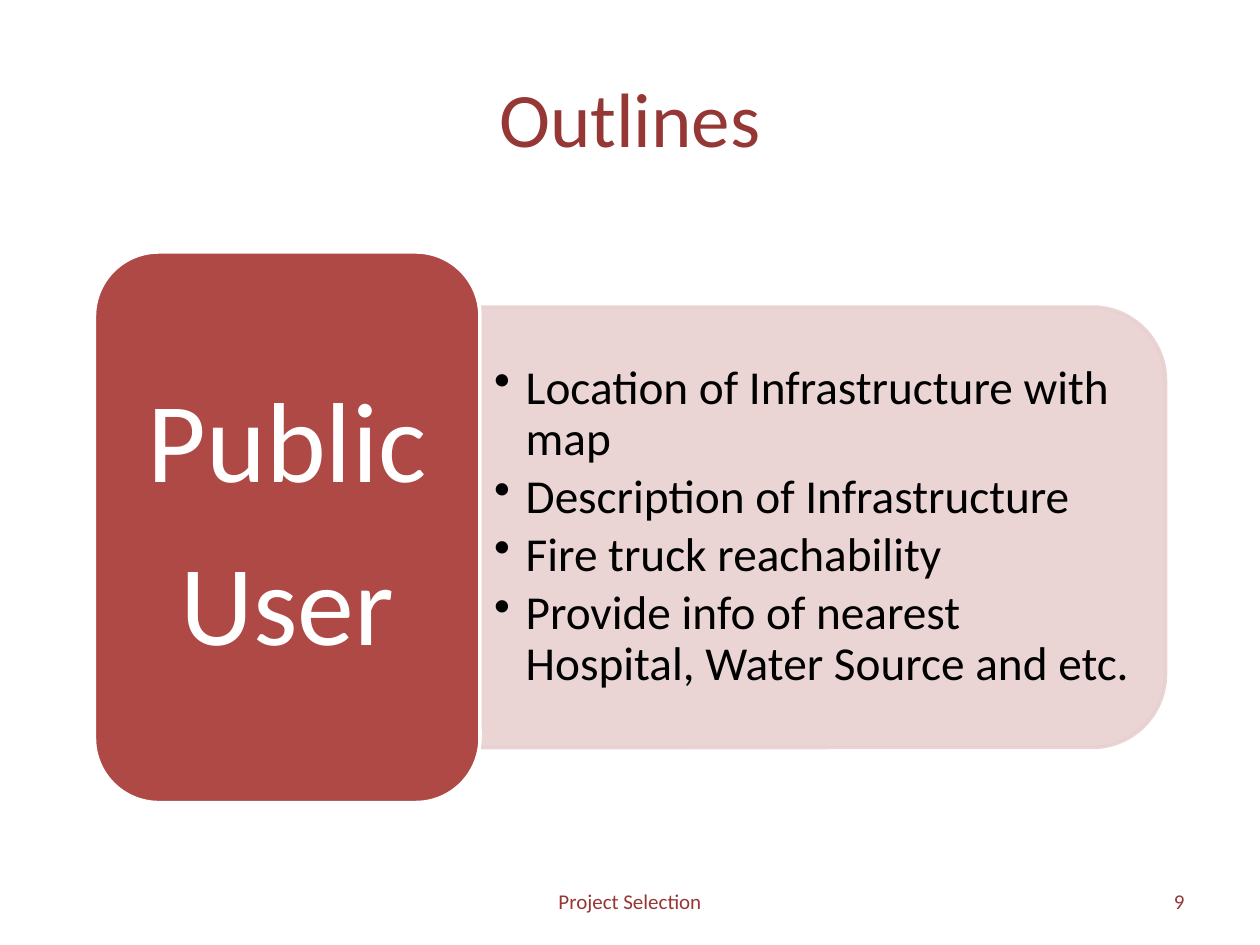
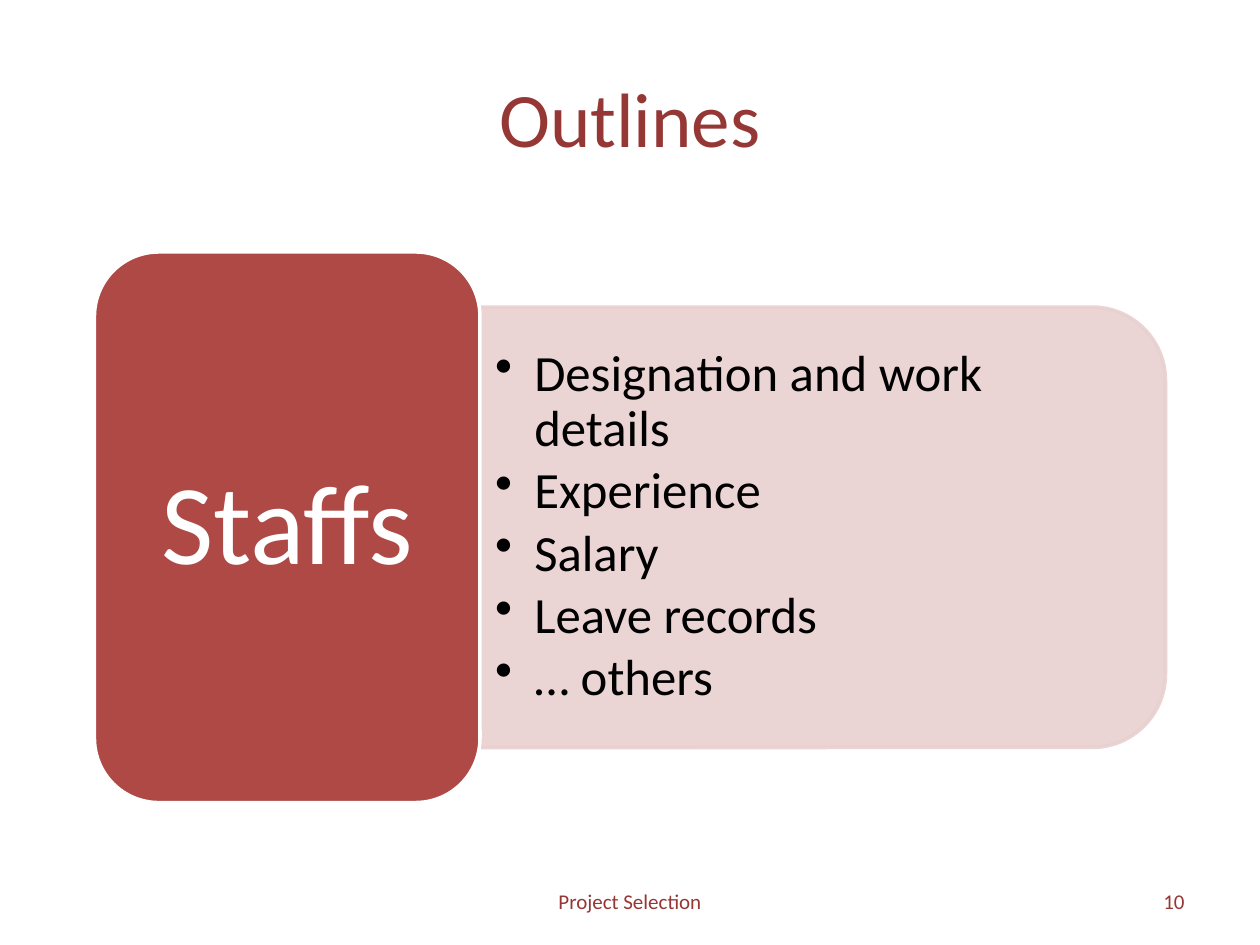
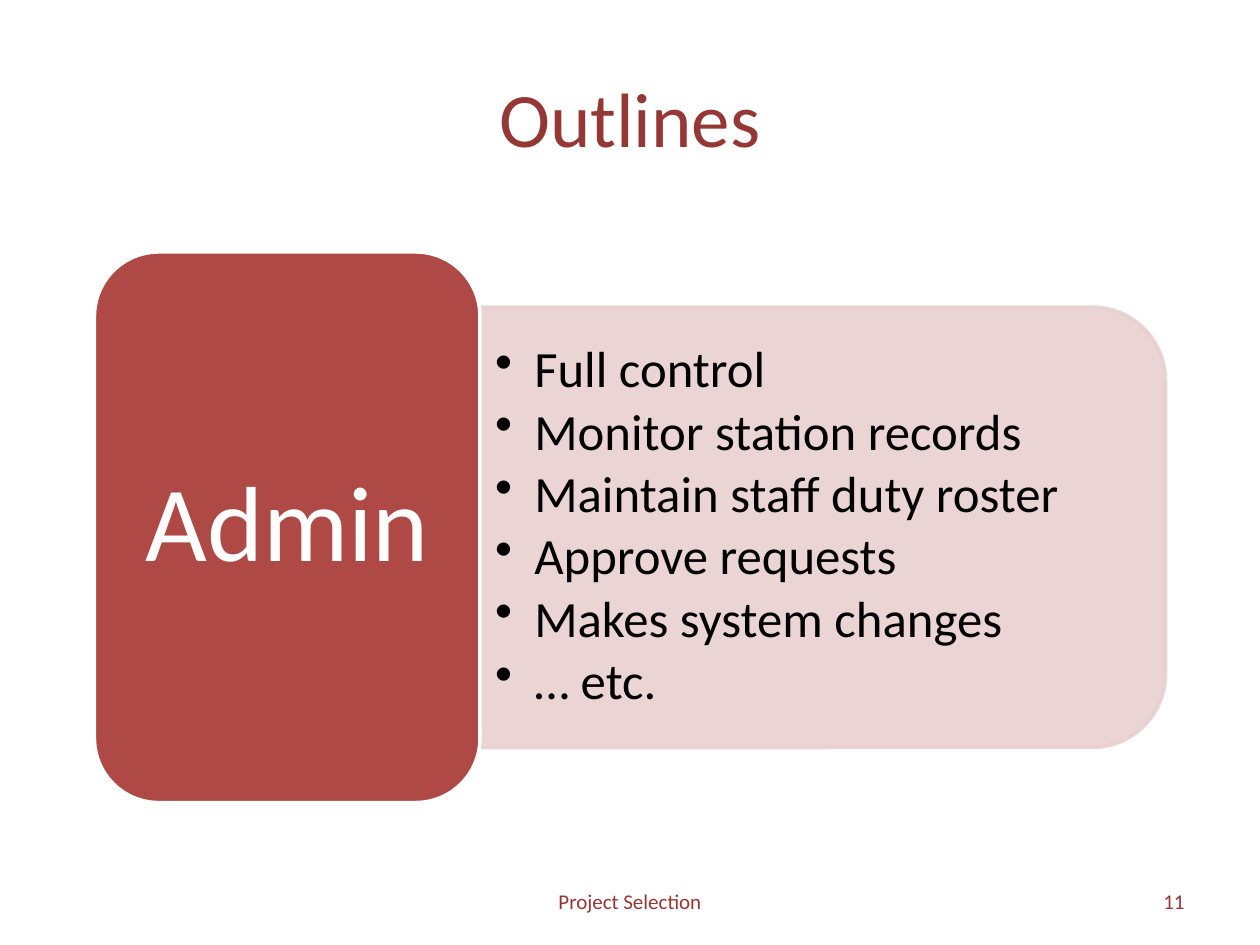
from lxml import etree
from pptx import Presentation
from pptx.dml.color import RGBColor
from pptx.enum.shapes import MSO_SHAPE
from pptx.enum.text import MSO_ANCHOR, PP_ALIGN
from pptx.oxml.ns import qn
from pptx.util import Inches, Pt

ROUND, CAPPED = MSO_SHAPE.ROUNDED_RECTANGLE, MSO_SHAPE.ROUND_2_SAME_RECTANGLE
LEFT, MID, RIGHT = PP_ALIGN.LEFT, PP_ALIGN.CENTER, PP_ALIGN.RIGHT
CENTER = MSO_ANCHOR.MIDDLE

WIDE, HIGH = 10, 7.5
FONT = "Calibri"
DARK, RED, PINK = "953735", "AE4946", "E8D0D0"
WHITE, BLACK = "FFFFFF", "000000"

# Boxes are left, top, width, height in inches.
TITLE = (0.05 * WIDE, 0.04 * HIGH, 0.9 * WIDE, HIGH / 6)
CARD = (0.075 * WIDE, 2, 0.85 * WIDE, 4.37)
FOOT = (0.05 * WIDE, 6.95, 0.9 * WIDE, 0.4)

# Label lines, label size, bullet size, bullet indent, bullets
CARDS = [
    (["Public", "User"], 65, 27, 0.25,
     ["Location of Infrastructure with map", "Description of Infrastructure",
      "Fire truck reachability",
      "Provide info of nearest Hospital, Water Source and etc."]),
    (["Staffs"], 65, 29, 0.31,
     ["Designation and work details", "Experience", "Salary",
      "Leave records", "\u2026 others"]),
    (["Admin"], 61, 29, 0.31,
     ["Full control", "Monitor station records", "Maintain staff duty roster",
      "Approve requests", "Makes system changes", "\u2026 etc."]),
]
FIRST = 9


def color(code):
    """Turn a hex string into a colour."""
    return RGBColor.from_string(code)


def apply(item, form):
    """Set each attribute named in a dict of format values."""
    for name, value in form.items():
        setattr(item, name, value)


def place(item, box):
    """Move an item to a box in inches."""
    names = ("left", "top", "width", "height")
    apply(item, {n: Inches(v) for n, v in zip(names, box)})


def write(item, lines, size, code, align, pad=(0.1, 0.05), **form):
    """Fill an item with one styled paragraph per line."""
    frame = item.text_frame
    side, edge = (Inches(p) for p in pad)
    apply(frame, {"word_wrap": True, "vertical_anchor": CENTER,
                  "margin_left": side, "margin_right": side,
                  "margin_top": edge, "margin_bottom": edge})
    frame.text = "\n".join(lines)
    for para in frame.paragraphs:
        apply(para, {"alignment": align, **form})
        for run in para.runs:
            apply(run.font, {"name": FONT, "size": Pt(size)})
            run.font.color.rgb = color(code)
    return frame


def textbox(parent, box, *args, **form):
    """Add a text box and write in it."""
    item = parent.add_textbox(0, 0, 0, 0)
    place(item, box)
    return write(item, *args, **form)


def block(parent, kind, box, fill, line):
    """Add a plain filled shape with a 2 point outline."""
    item = parent.add_shape(kind, 0, 0, 0, 0)
    place(item, box)
    item.shadow.inherit = False
    item.fill.solid()
    item.fill.fore_color.rgb = color(fill)
    item.line.color.rgb = color(line)
    item.line.width = Pt(2)
    return item


def fade(item, share):
    """Make the fill and outline of a shape partly opaque."""
    for tint in item._element.spPr.iter(qn("a:srgbClr")):
        etree.SubElement(tint, qn("a:alpha"), val=str(int(share * 100000)))


def bullet(para, indent):
    """Give a paragraph a hanging bullet."""
    props = para._p.get_or_add_pPr()
    step = Inches(indent)
    props.set("marL", str(step))
    props.set("indent", str(-step))
    etree.SubElement(props, qn("a:buChar"), char="\u2022")


def panel(parent, box, size, indent, lines):
    """Draw the pale panel, rounded on the right, with its bullets."""
    x, y, w, h = box
    turned = (x + (w - h) / 2, y + (h - w) / 2, h, w)
    item = block(parent, CAPPED, turned, PINK, PINK)
    item.rotation = 90
    fade(item, 0.9)
    gap = 0.17
    frame = textbox(parent, (x, y + gap, w - gap, h - 2 * gap), lines, size,
                    BLACK, LEFT, pad=(size / 240, size / 480),
                    line_spacing=0.9, space_after=Pt(0.15 * size))
    for para in frame.paragraphs:
        bullet(para, indent)


def label(parent, box, size, lines):
    """Draw the red block with its large name."""
    x, y, w, h = box
    block(parent, ROUND, box, RED, WHITE)
    gap = 0.15
    textbox(parent, (x + gap, y + gap, w - 2 * gap, h - 2 * gap), lines, size,
            WHITE, MID, pad=(size / 240, size / 480),
            line_spacing=0.9, space_after=Pt(0.35 * size))


def card(slide, box, names, big, small, indent, lines):
    """Group a label (36% of the width) with its panel (80% of the height)."""
    x, y, w, h = box
    group = slide.shapes.add_group_shape().shapes
    split = 0.36 * w
    panel(group, (x + split, y + 0.1 * h, w - split, 0.8 * h),
          small, indent, lines)
    label(group, (x, y, split, h), big, names)


def footer(slide, box, number):
    """Write the centred footer and the page number at the right."""
    x, y, w, h = box
    mid, end = 0.352 * w, 0.26 * w
    textbox(slide.shapes, (x + (w - mid) / 2, y, mid, h),
            ["Project Selection"], 12, DARK, MID)
    textbox(slide.shapes, (x + w - end, y, end, h),
            [str(number)], 12, DARK, RIGHT)


def page(deck, number, parts):
    """Build one outline slide."""
    slide = deck.slides.add_slide(deck.slide_layouts[5])
    place(slide.shapes.title, TITLE)
    write(slide.shapes.title, ["Outlines"], 44, DARK, MID)
    card(slide, CARD, *parts)
    footer(slide, FOOT, number)


deck = Presentation()
apply(deck, {"slide_width": Inches(WIDE), "slide_height": Inches(HIGH)})
for number, parts in enumerate(CARDS, FIRST):
    page(deck, number, parts)
deck.save("out.pptx")
